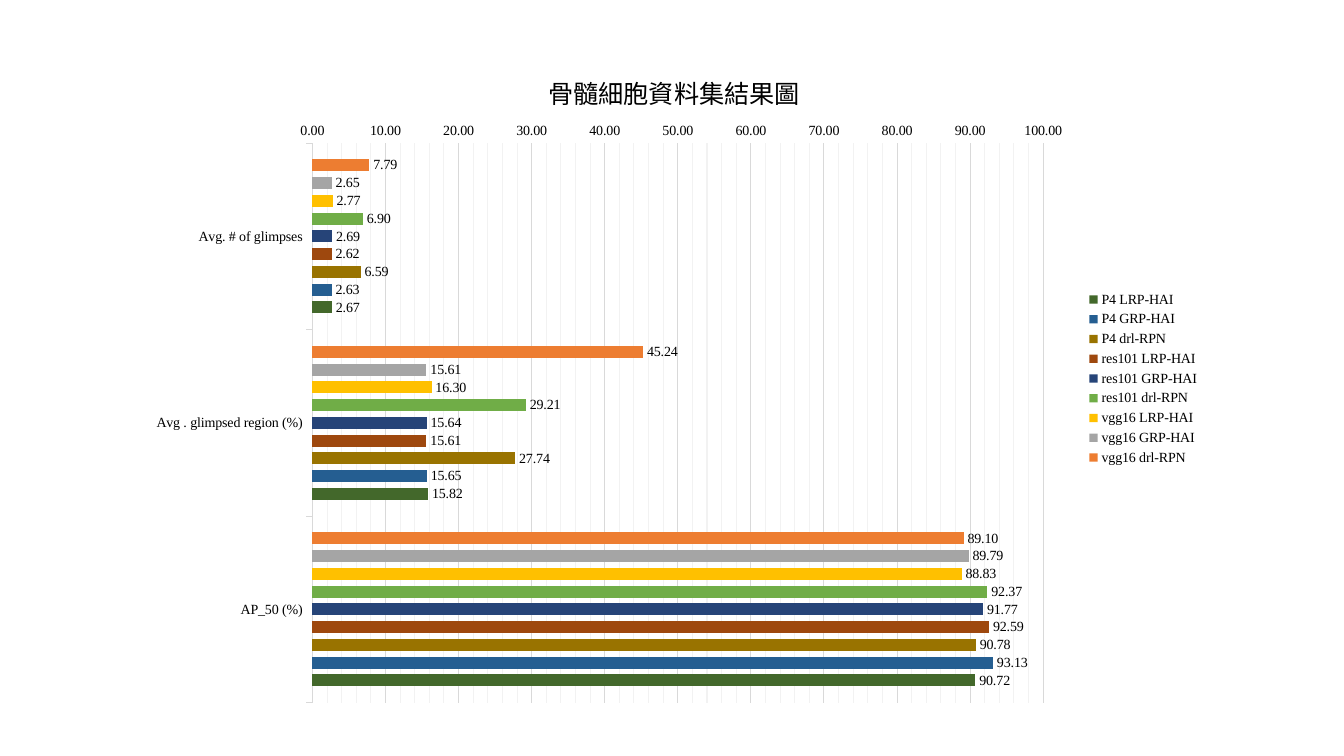
from dataclasses import dataclass

from lxml.etree import SubElement
from pptx import Presentation
from pptx.chart.data import CategoryChartData
from pptx.dml.color import RGBColor
from pptx.enum.chart import XL_CHART_TYPE as ChartType
from pptx.enum.chart import XL_LABEL_POSITION as LabelPosition
from pptx.enum.chart import XL_LEGEND_POSITION as LegendPosition
from pptx.enum.chart import XL_TICK_MARK as TickMark
from pptx.oxml import parse_xml
from pptx.oxml.ns import nsdecls, qn
from pptx.util import Inches, Pt


@dataclass(frozen=True)
class Theme:
    ink: str = "000000"
    major_line: str = "D9D9D9"
    minor_line: str = "F2F2F2"
    line_width: float = 0.75
    font: str = "Times New Roman"
    title_font: str = "Noto Sans CJK SC"
    size: int = 10
    title_size: int = 18


THEME = Theme()
NUMBERS = "0.00"
TITLE = "骨髓細胞資料集結果圖"
MEASURES = ["Avg. # of glimpses", "Avg . glimpsed region (%)", "AP_50 (%)"]
RESULTS = [
    ("vgg16 drl-RPN", "ED7D31", (7.79, 45.24, 89.10)),
    ("vgg16 GRP-HAI", "A5A5A5", (2.65, 15.61, 89.79)),
    ("vgg16 LRP-HAI", "FFC000", (2.77, 16.30, 88.83)),
    ("res101 drl-RPN", "70AD47", (6.90, 29.21, 92.37)),
    ("res101 GRP-HAI", "264478", (2.69, 15.64, 91.77)),
    ("res101 LRP-HAI", "9E480E", (2.62, 15.61, 92.59)),
    ("P4 drl-RPN", "997300", (6.59, 27.74, 90.78)),
    ("P4 GRP-HAI", "255E91", (2.63, 15.65, 93.13)),
    ("P4 LRP-HAI", "43682B", (2.67, 15.82, 90.72)),
]


def style_font(font, name=THEME.font, size=THEME.size, color=THEME.ink):
    font.name = name
    font.size = Pt(size)
    font.bold = False
    font.color.rgb = RGBColor.from_string(color)


def style_line(line, color):
    line.color.rgb = RGBColor.from_string(color)
    line.width = Pt(THEME.line_width)


def style_minor_gridlines(axis, color):
    axis.has_minor_gridlines = True
    gridlines = axis._element.find(qn("c:minorGridlines"))
    gridlines.append(parse_xml(
        f'<c:spPr {nsdecls("c", "a")}><a:ln w="{Pt(THEME.line_width)}">'
        f'<a:solidFill><a:srgbClr val="{color}"/></a:solidFill>'
        f'</a:ln></c:spPr>'))


def set_layout(parent, index, **shares):
    for default in parent.findall(qn("c:layout")):
        parent.remove(default)
    layout = parse_xml(f"<c:layout {nsdecls('c')}/>")
    manual = SubElement(layout, qn("c:manualLayout"))
    if "w" in shares:
        SubElement(manual, qn("c:layoutTarget")).set("val", "inner")
    for mode in ("xMode", "yMode"):
        SubElement(manual, qn(f"c:{mode}")).set("val", "edge")
    for side, share in shares.items():
        SubElement(manual, qn(f"c:{side}")).set("val", str(share))
    parent.insert(index, layout)


def format_title(chart):
    chart.has_title = True
    heading = chart.chart_title
    paragraph = heading.text_frame.paragraphs[0]
    run = paragraph.add_run()
    run.text = TITLE
    style_font(run.font, name=THEME.title_font, size=THEME.title_size)
    latin = run.font._element.find(qn("a:latin"))
    latin.addnext(parse_xml(
        f'<a:ea {nsdecls("a")} typeface="{THEME.title_font}"/>'))
    set_layout(heading._element, 1, x=0.38, y=0.04)


def format_axes(chart):
    measures = chart.category_axis
    measures.reverse_order = True
    measures.major_tick_mark = TickMark.OUTSIDE
    measures.minor_tick_mark = TickMark.NONE
    style_line(measures.format.line, THEME.major_line)
    style_font(measures.tick_labels.font)

    scale = chart.value_axis
    scale.minimum_scale, scale.maximum_scale = 0, 100
    scale.major_unit, scale.minor_unit = 10, 2
    scale.major_tick_mark = scale.minor_tick_mark = TickMark.NONE
    scale.format.line.fill.background()
    scale.has_major_gridlines = True
    style_line(scale.major_gridlines.format.line, THEME.major_line)
    style_minor_gridlines(scale, THEME.minor_line)
    scale.tick_labels.number_format = NUMBERS
    scale.tick_labels.number_format_is_linked = False
    style_font(scale.tick_labels.font)


def format_bars(chart):
    bars = chart.plots[0]
    bars.vary_by_categories = False
    bars.gap_width = 269
    bars.overlap = -48
    for method, (_, color, _) in zip(bars.series, RESULTS):
        method.format.fill.solid()
        method.format.fill.fore_color.rgb = RGBColor.from_string(color)
        labels = method.data_labels
        labels.show_value = True
        labels.position = LabelPosition.OUTSIDE_END
        labels.number_format = NUMBERS
        labels.number_format_is_linked = False
        style_font(labels.font)


def add_results_chart(slide, left, top, width, height):
    data = CategoryChartData(number_format=NUMBERS)
    data.categories = MEASURES
    for name, _, values in RESULTS:
        data.add_series(name, values)
    chart = slide.shapes.add_chart(
        ChartType.BAR_CLUSTERED, left, top, width, height, data).chart
    style_font(chart.font)
    format_title(chart)
    format_axes(chart)
    format_bars(chart)
    chart.has_legend = True
    chart.legend.position = LegendPosition.RIGHT
    chart.legend.include_in_layout = False
    style_font(chart.legend.font)
    set_layout(chart._chartSpace.chart.plotArea, 0,
               x=0.165, y=0.153, w=0.68, h=0.825)


def main():
    deck = Presentation()
    deck.slide_width, deck.slide_height = Inches(13.33), Inches(7.5)
    slide = deck.slides.add_slide(deck.slide_layouts[6])
    add_results_chart(slide, Inches(1.34), Inches(0.39),
                      Inches(10.66), Inches(6.73))
    deck.save("out.pptx")


if __name__ == "__main__":
    main()
